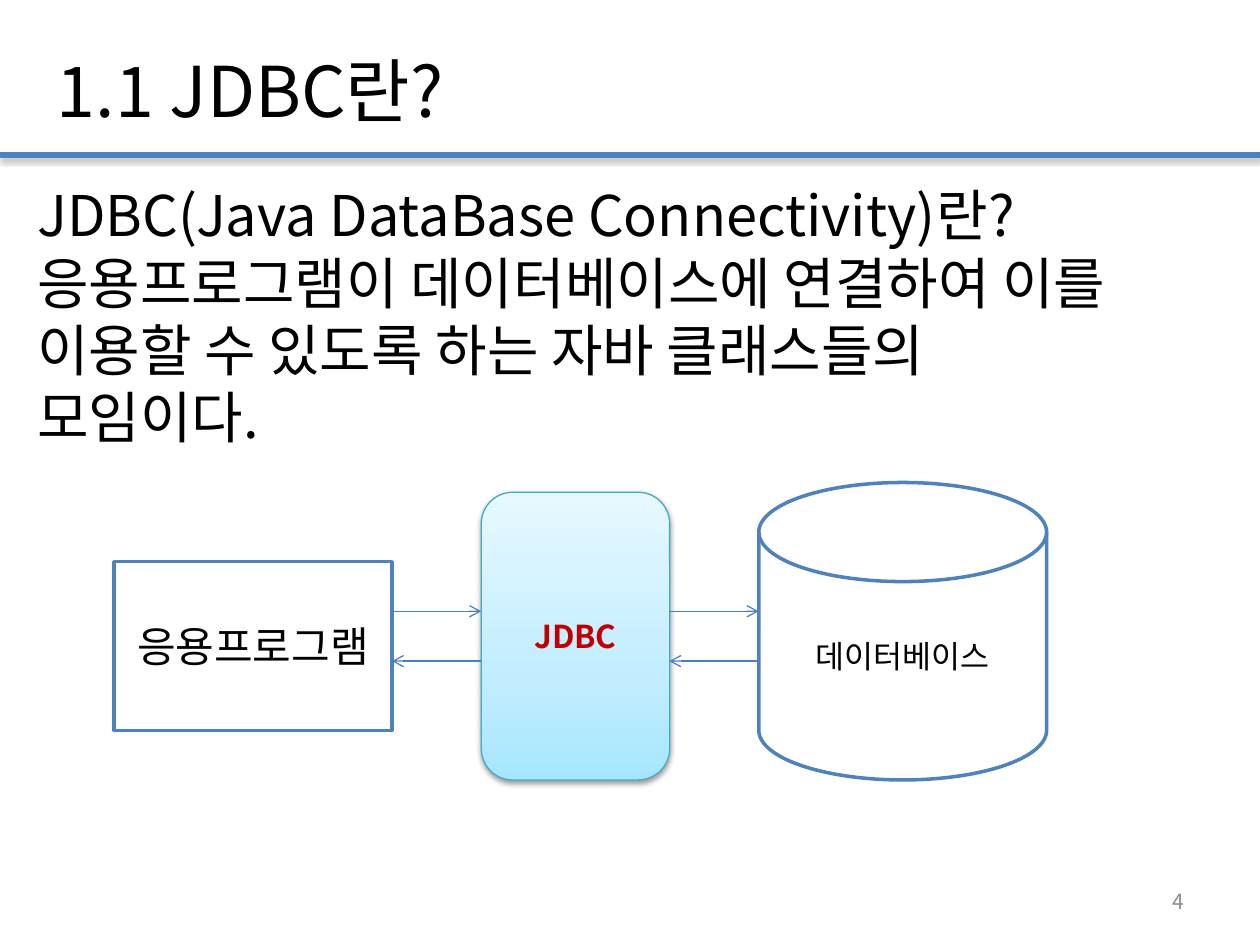
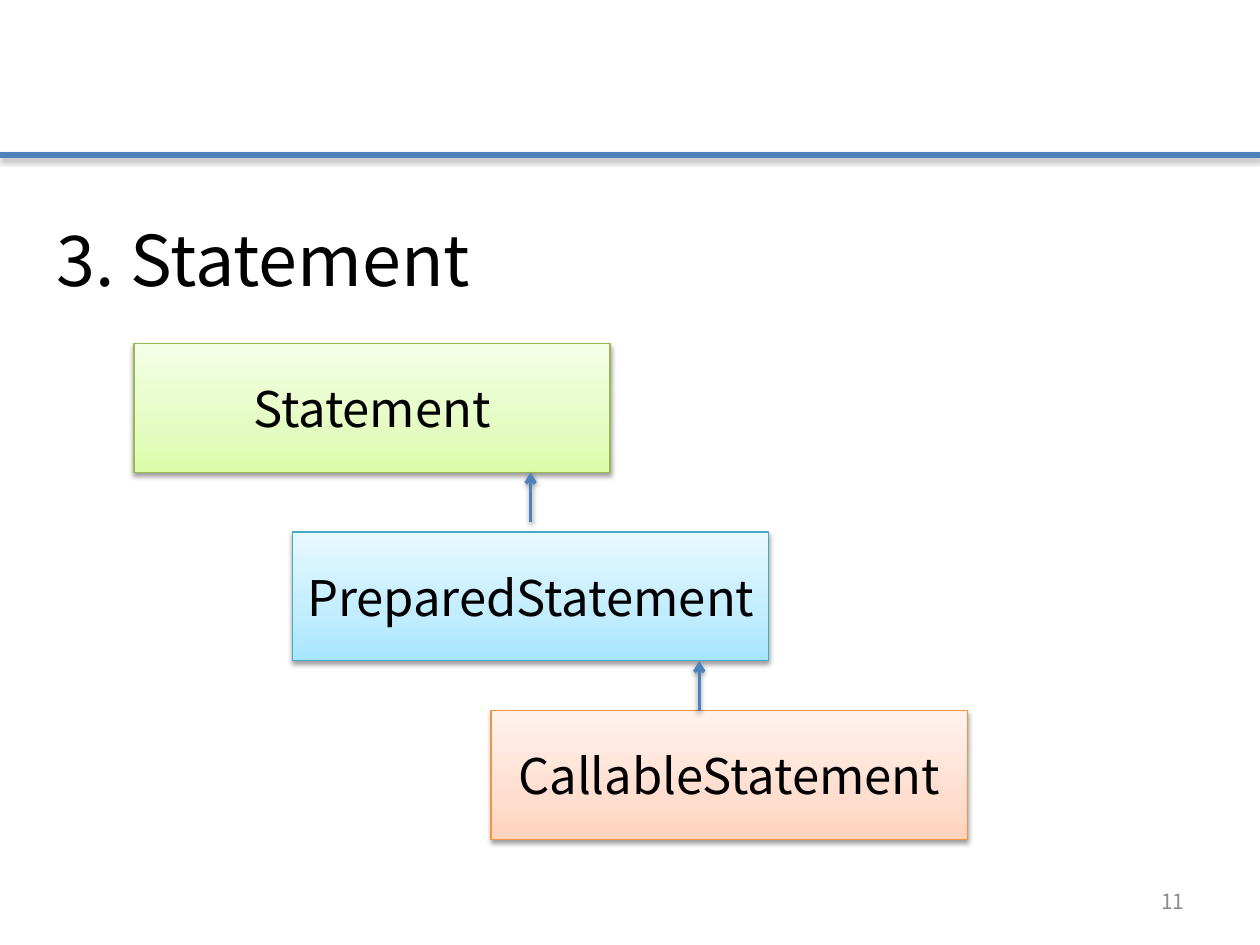
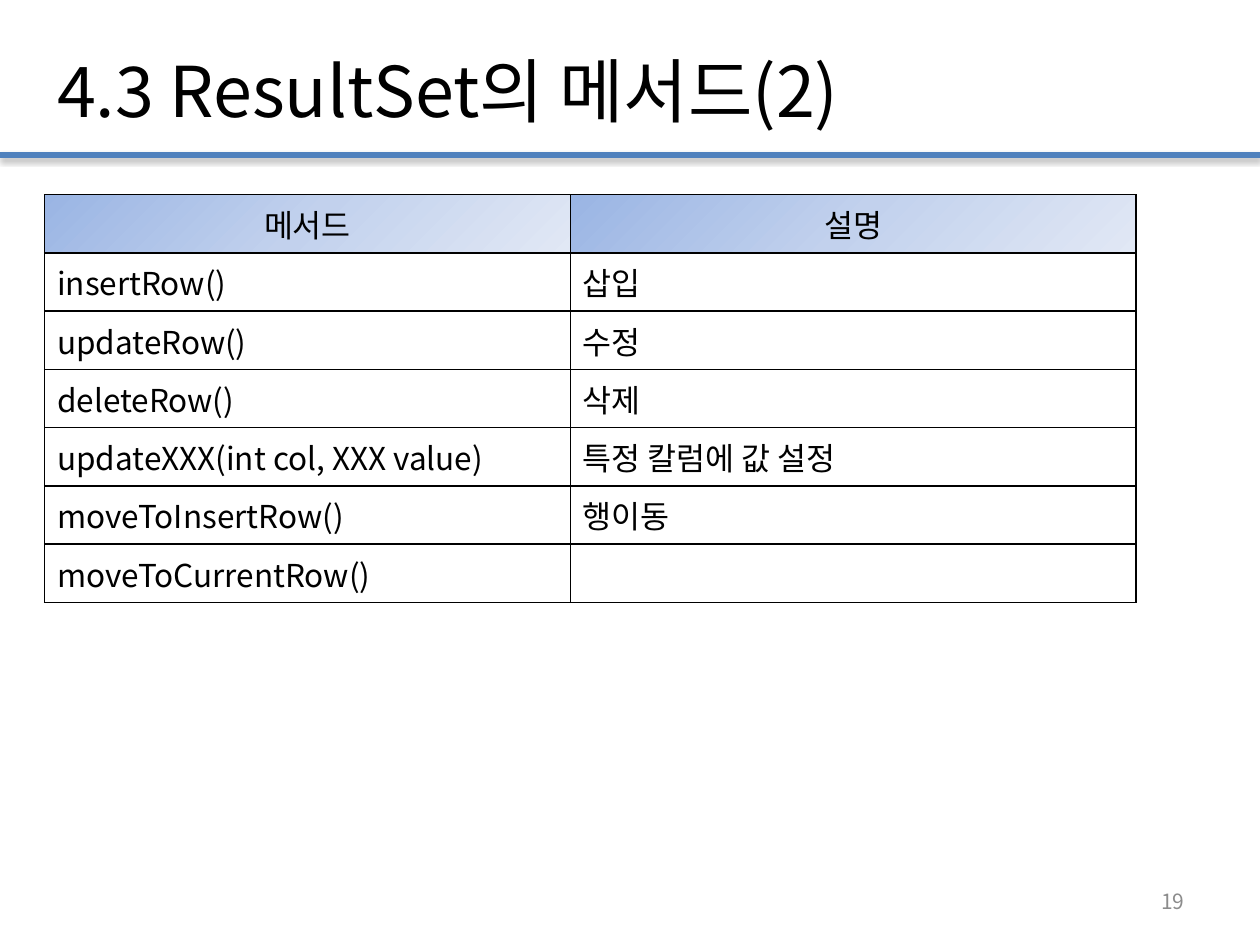
from dataclasses import dataclass
from typing import Any, NamedTuple

from lxml.etree import SubElement
from pptx import Presentation
from pptx.dml.color import RGBColor
from pptx.enum.shapes import MSO_CONNECTOR, MSO_SHAPE
from pptx.enum.text import MSO_ANCHOR, MSO_AUTO_SIZE, PP_ALIGN
from pptx.oxml.ns import qn
from pptx.util import Pt

FONT = "Noto Sans CJK KR"
HUES = {
    "black": "000000", "white": "FFFFFF", "grey": "8C8C8C", "red": "C00000",
    "blue": "4F81BD", "thin": "4B7EBC",
    "aqua": "46AAC5", "green": "98B955", "orange": "F69240",
}
# Gradient stops: percent and colour
FADES = {
    "aqua": ((0, "A7E6FF"), (35, "C1EDFF"), (100, "E7F8FF")),
    "green": ((0, "DAFDA7"), (35, "E4FCC2"), (100, "F5FFE7")),
    "orange": ((0, "FFD2BD"), (35, "FFDED0"), (100, "FFF2ED")),
    "head": ((0, "9AB5E4"), (50, "C2D1ED"), (100, "E1E8F5")),
}


class Area(NamedTuple):
    left: float
    top: float
    width: float
    height: float


class Shade(NamedTuple):
    alpha: int
    dist: float


RULE = Shade(35, 1.8)
SOFT = Shade(38, 1.6)


@dataclass
class Box:
    text: str
    area: Area
    size: float
    edge: str = "blue"
    fade: str = ""
    kind: Any = MSO_SHAPE.RECTANGLE
    ink: str = "black"
    bold: bool = False


@dataclass
class Line:
    start: tuple[float, float]
    end: tuple[float, float]
    hue: str = "thin"
    width: float = 0.75
    arrow: bool = True
    shade: Shade | None = None


def color(name: str) -> RGBColor:
    return RGBColor.from_string(HUES[name])


def style(frame: Any, size: float, ink: str = "black", bold: bool = False,
          align: Any = PP_ALIGN.LEFT) -> None:
    for par in frame.paragraphs:
        par.alignment = align
        for run in par.runs:
            font = run.font
            font.name, font.size, font.bold = FONT, Pt(size), bold
            font.color.rgb = color(ink)


def blend(fill: Any, props: Any, name: str, angle: float) -> None:
    fill.gradient()
    fill.gradient_angle = angle
    stops = props.find(qn("a:gradFill")).find(qn("a:gsLst"))
    for stop in list(stops):
        stops.remove(stop)
    for share, hue in FADES[name]:
        stop = SubElement(stops, qn("a:gs"), pos=str(share * 1000))
        SubElement(stop, qn("a:srgbClr"), val=hue)


def cast(props: Any, shade: Shade | None) -> None:
    """Add a shadow, or an empty effect list for none."""
    group = SubElement(props, qn("a:effectLst"))
    if shade:
        drop = SubElement(group, qn("a:outerShdw"), blurRad=str(Pt(3.1)),
                          dist=str(Pt(shade.dist)), dir="5400000", rotWithShape="0")
        tint = SubElement(drop, qn("a:srgbClr"), val=HUES["black"])
        SubElement(tint, qn("a:alpha"), val=str(shade.alpha * 1000))


def label(slide: Any, text: str, area: Area, size: float, ink: str = "black",
          align: Any = PP_ALIGN.LEFT, anchor: Any = MSO_ANCHOR.MIDDLE) -> Any:
    frame = slide.shapes.add_textbox(*map(Pt, area)).text_frame
    frame.word_wrap = True
    frame.vertical_anchor = anchor
    frame.text = text
    style(frame, size, ink, align=align)
    return frame


def block(slide: Any, box: Box) -> None:
    shape = slide.shapes.add_shape(box.kind, *map(Pt, box.area))
    shape.line.color.rgb = color(box.edge)
    shape.line.width = Pt(0.75 if box.fade else 2)
    props = shape._element.spPr
    if box.fade:
        blend(shape.fill, props, box.fade, 90)
        cast(props, SOFT)
    else:
        shape.fill.solid()
        shape.fill.fore_color.rgb = color("white")
        shape.shadow.inherit = False
    frame = shape.text_frame
    frame.word_wrap = True
    frame.vertical_anchor = MSO_ANCHOR.MIDDLE
    frame.text = box.text
    style(frame, box.size, box.ink, box.bold, PP_ALIGN.CENTER)


def stroke(slide: Any, line: Line) -> None:
    wire = slide.shapes.add_connector(
        MSO_CONNECTOR.STRAIGHT, *map(Pt, line.start + line.end))
    wire.line.color.rgb = color(line.hue)
    wire.line.width = Pt(line.width)
    props = wire._element.spPr
    if line.arrow:
        SubElement(props.find(qn("a:ln")), qn("a:tailEnd"), type="arrow")
    cast(props, line.shade)


def border(cell: Any) -> None:
    props = cell._tc.get_or_add_tcPr()
    for spot, side in enumerate(("lnL", "lnR", "lnT", "lnB")):
        edge = SubElement(props, qn(f"a:{side}"), w=str(Pt(1)))
        fill = SubElement(edge, qn("a:solidFill"))
        SubElement(fill, qn("a:srgbClr"), val=HUES["black"])
        props.insert(spot, edge)


def grid(slide: Any, rows: list[tuple[str, str]], left: float, top: float,
         widths: tuple[float, ...], height: float) -> None:
    area = Area(left, top, sum(widths), height * len(rows))
    table = slide.shapes.add_table(
        len(rows), len(widths), *map(Pt, area)).table
    table.first_row = table.horz_banding = False
    for col, width in zip(table.columns, widths):
        col.width = Pt(width)
    for y, texts in enumerate(rows):
        table.rows[y].height = Pt(height)
        for x, text in enumerate(texts):
            cell = table.cell(y, x)
            cell.text = text
            if y:
                cell.fill.background()
            else:
                blend(cell.fill, cell._tc.get_or_add_tcPr(), "head", 315)
            border(cell)
            style(cell.text_frame, 18,
                  align=PP_ALIGN.LEFT if y else PP_ALIGN.CENTER)


deck = Presentation()
deck.slide_width, deck.slide_height = Pt(720), Pt(540)


def page(title: str, number: int, top: float = 20.5, width: float = 465) -> Any:
    """Start a slide with its title, number and rule."""
    slide = deck.slides.add_slide(deck.slide_layouts[6])
    label(slide, title, Area(25.5, top, width, 61), 40)
    label(slide, str(number), Area(516, 500.5, 168, 28.8), 12, "grey",
          PP_ALIGN.RIGHT)
    stroke(slide, Line((0, 88.5), (720, 88.5), "blue", 3, False, RULE))
    return slide


# Slide 1: what JDBC is
slide = page("1.1 JDBC란?", 4)
body = label(
    slide,
    "JDBC(Java DataBase Connectivity)란?\n"
    "응용프로그램이 데이터베이스에 연결하여 이를 이용할 수 있도록 하는 "
    "자바 클래스들의 모임이다.",
    Area(14.2, 99.8, 646.5, 201), 32, anchor=MSO_ANCHOR.TOP)
body.auto_size = MSO_AUTO_SIZE.SHAPE_TO_FIT_TEXT

for box in (
    Box("응용프로그램", Area(65.2, 321, 158.7, 96.5), 24),
    Box("데이터베이스", Area(433.6, 275.7, 164.5, 170), 18,
        kind=MSO_SHAPE.FLOWCHART_MAGNETIC_DISK),
    Box("JDBC", Area(275, 281.3, 107.7, 164.4), 18, "aqua", "aqua",
        MSO_SHAPE.ROUNDED_RECTANGLE, "red", True),
):
    block(slide, box)

# Arrows there and back in both gaps
for left, right in ((224, 275), (382.5, 433.5)):
    stroke(slide, Line((left, 349.3), (right, 349.3)))
    stroke(slide, Line((right, 377.8), (left, 377.8)))

# Slide 2: family of statements
slide = page("3. Statement", 11, top=117)
for name, left, top, hue in (
    ("Statement", 76.5, 196.4, "green"),
    ("PreparedStatement", 167.2, 304, "aqua"),
    ("CallableStatement", 280.6, 406, "orange"),
):
    block(slide, Box(name, Area(left, top, 272.1, 73.7), 28, hue, hue))
for x, tip in ((399.6, 377.8), (303.2, 270)):
    stroke(slide, Line((x, tip + 28.3), (x, tip), "blue", 2, shade=SOFT))

# Slide 3: table of methods
slide = page("4.3 ResultSet의 메서드(2)", 19, width=646.5)
grid(slide, [
    ("메서드", "설명"),
    ("insertRow()", "삽입"),
    ("updateRow()", "수정"),
    ("deleteRow()", "삭제"),
    ("updateXXX(int col, XXX value)", "특정 칼럼에 값 설정"),
    ("moveToInsertRow()", "행이동"),
    ("moveToCurrentRow()", ""),
], 25.5, 111.3, (300.4, 323.3), 33.3)

deck.save("out.pptx")
